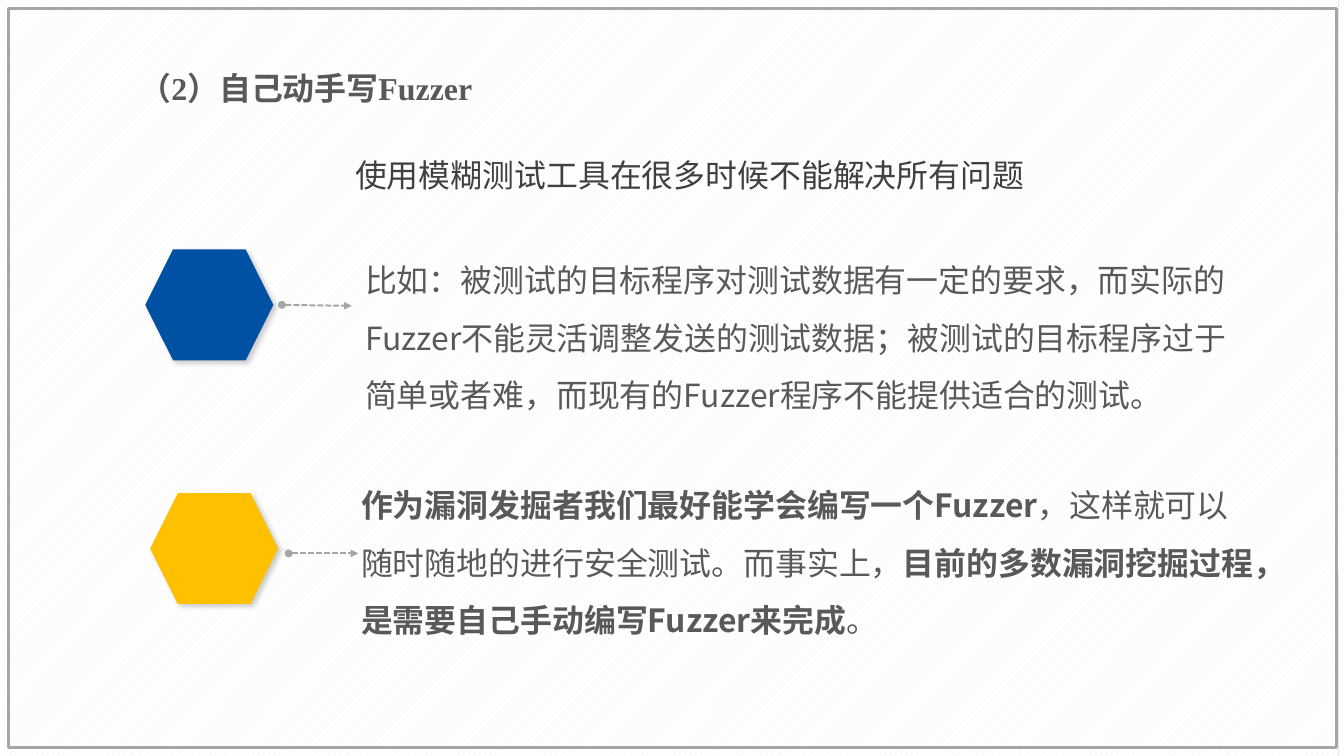
from itertools import product

from lxml.etree import SubElement
from pptx import Presentation
from pptx.dml.color import RGBColor
from pptx.enum.dml import MSO_LINE, MSO_PATTERN
from pptx.enum.shapes import MSO_CONNECTOR, MSO_SHAPE
from pptx.enum.text import MSO_ANCHOR, MSO_AUTO_SIZE, PP_ALIGN
from pptx.oxml import parse_xml
from pptx.oxml.ns import nsdecls, qn
from pptx.util import Inches, Pt

COLOURS = {
    "blue": "0050A3", "yellow": "FFC000", "grey": "A6A6A6", "stripe": "F2F2F2",
    "white": "FFFFFF", "text": "595959", "lead": "404040", "shadow": "000000",
}
COLOURS_RGB = {name: RGBColor.from_string(value) for name, value in COLOURS.items()}
SANS, SERIF = "Noto Sans CJK SC", "Times New Roman"
WIDTH, HEIGHT = 14.06, 7.91


def place(*shares):
    """Turn alternating percentages of slide width and height into lengths."""
    sides = (WIDTH, HEIGHT) * 2
    return [Inches(side * share / 100) for side, share in zip(sides, shares)]


def write(box, spans, font=SANS, colour="text", spacing=1.0, align=PP_ALIGN.LEFT,
          anchor=MSO_ANCHOR.MIDDLE, wrap=True):
    """Fill a box with one paragraph made of (text, bold) spans."""
    frame = box.text_frame
    frame.word_wrap = wrap
    frame.auto_size = MSO_AUTO_SIZE.SHAPE_TO_FIT_TEXT
    frame.vertical_anchor = anchor
    para = frame.paragraphs[0]
    para.line_spacing, para.alignment = spacing, align
    for text, bold in spans:
        span = para.add_run()
        span.text = text
        span.font.size, span.font.bold, span.font.name = Pt(24), bold, font
        span.font.color.rgb = COLOURS_RGB[colour]
        SubElement(span.font._element, qn("a:ea"), typeface=SANS)


deck = Presentation()
deck.slide_width, deck.slide_height = Inches(WIDTH), Inches(HEIGHT)
page = deck.slides.add_slide(deck.slide_layouts[5])

# Striped background
background = page.background.fill
background.patterned()
background.pattern = MSO_PATTERN.WIDE_UPWARD_DIAGONAL
background.fore_color.rgb = COLOURS_RGB["stripe"]
background.back_color.rgb = COLOURS_RGB["white"]

# Frame with one bracket mirrored into all four corners
border = page.shapes.add_shape(MSO_SHAPE.RECTANGLE, *place(0.64, 1.14, 98.8, 97.72))
border.shadow.inherit = False
border.fill.background()
border.line.color.rgb = COLOURS_RGB["grey"]
border.line.width = Pt(2)

arm_x, arm_y, thick = 0.17 * WIDTH, 0.216 * HEIGHT, 0.12
bracket = [(0, 0), (arm_x, 0), (arm_x - thick, thick), (thick, thick),
           (thick, arm_y - thick), (0, arm_y)]
for right, bottom in product((False, True), repeat=2):
    points = [(WIDTH - x if right else x, HEIGHT - y if bottom else y)
              for x, y in bracket]
    builder = page.shapes.build_freeform(*points[0], scale=Inches(1))
    builder.add_line_segments(points[1:], close=True)
    corner = builder.convert_to_shape()
    corner.shadow.inherit = False
    corner.fill.solid()
    corner.fill.fore_color.rgb = COLOURS_RGB["blue"]
    corner.line.fill.background()

# Title and lead sentence
title = page.shapes.title
title.left, title.top, title.width, title.height = place(9.67, 6.83, 44.88, 7.96)
write(title, [("（2）自己动手写Fuzzer", True)], font=SERIF, spacing=1.3)

lead = page.shapes.add_textbox(*place(25.46, 19.97, 51.71, 6.32))
write(lead, [("使用模糊测试工具在很多时候不能解决所有问题", False)], colour="lead",
      align=PP_ALIGN.CENTER, anchor=MSO_ANCHOR.TOP, wrap=False)

# Each point: hexagon, dashed arrow and explanation
points = [
    ("blue", (10.81, 33), (20.98, 40.33, 26.17, 40.46), (26.46, 31.23, 66.64, 24.27), [
        ("比如：被测试的目标程序对测试数据有一定的要求，而实际的Fuzzer不能灵活调整发送的"
         "测试数据；被测试的目标程序过于简单或者难，而现有的Fuzzer程序不能提供适合的测试。",
         False)]),
    ("yellow", (11.17, 65.23), (21.48, 73.2, 26.67, 73.2), (26.17, 61.44, 67.78, 23.39), [
        ("作为漏洞发掘者我们最好能学会编写一个Fuzzer", True),
        ("，这样就可以随时随地的进行安全测试。而事实上，", False),
        ("目前的多数漏洞挖掘过程，是需要自己手动编写Fuzzer来完成", True),
        ("。", False)]),
]
for colour, corner, ends, area, spans in points:
    hexagon = page.shapes.add_shape(MSO_SHAPE.HEXAGON, *place(*corner, 9.53, 14.66))
    hexagon.fill.solid()
    hexagon.fill.fore_color.rgb = COLOURS_RGB[colour]
    hexagon.line.fill.background()
    hexagon._element.spPr.append(parse_xml(
        f'<a:effectLst {nsdecls("a")}><a:outerShdw blurRad="{Pt(4)}" dist="{Pt(3)}" '
        f'dir="2700000" algn="tl" rotWithShape="0"><a:srgbClr val="{COLOURS["shadow"]}">'
        '<a:alpha val="20000"/></a:srgbClr></a:outerShdw></a:effectLst>'))

    arrow = page.shapes.add_connector(MSO_CONNECTOR.STRAIGHT, *place(*ends))
    arrow.line.color.rgb = COLOURS_RGB["grey"]
    arrow.line.width = Pt(1.5)
    arrow.line.dash_style = MSO_LINE.SQUARE_DOT
    outline = arrow.line._get_or_add_ln()
    SubElement(outline, qn("a:headEnd"), type="oval")
    SubElement(outline, qn("a:tailEnd"), type="triangle")
    SubElement(arrow._element.spPr, qn("a:effectLst"))

    write(page.shapes.add_textbox(*place(*area)), spans, spacing=1.5)

deck.save("out.pptx")
